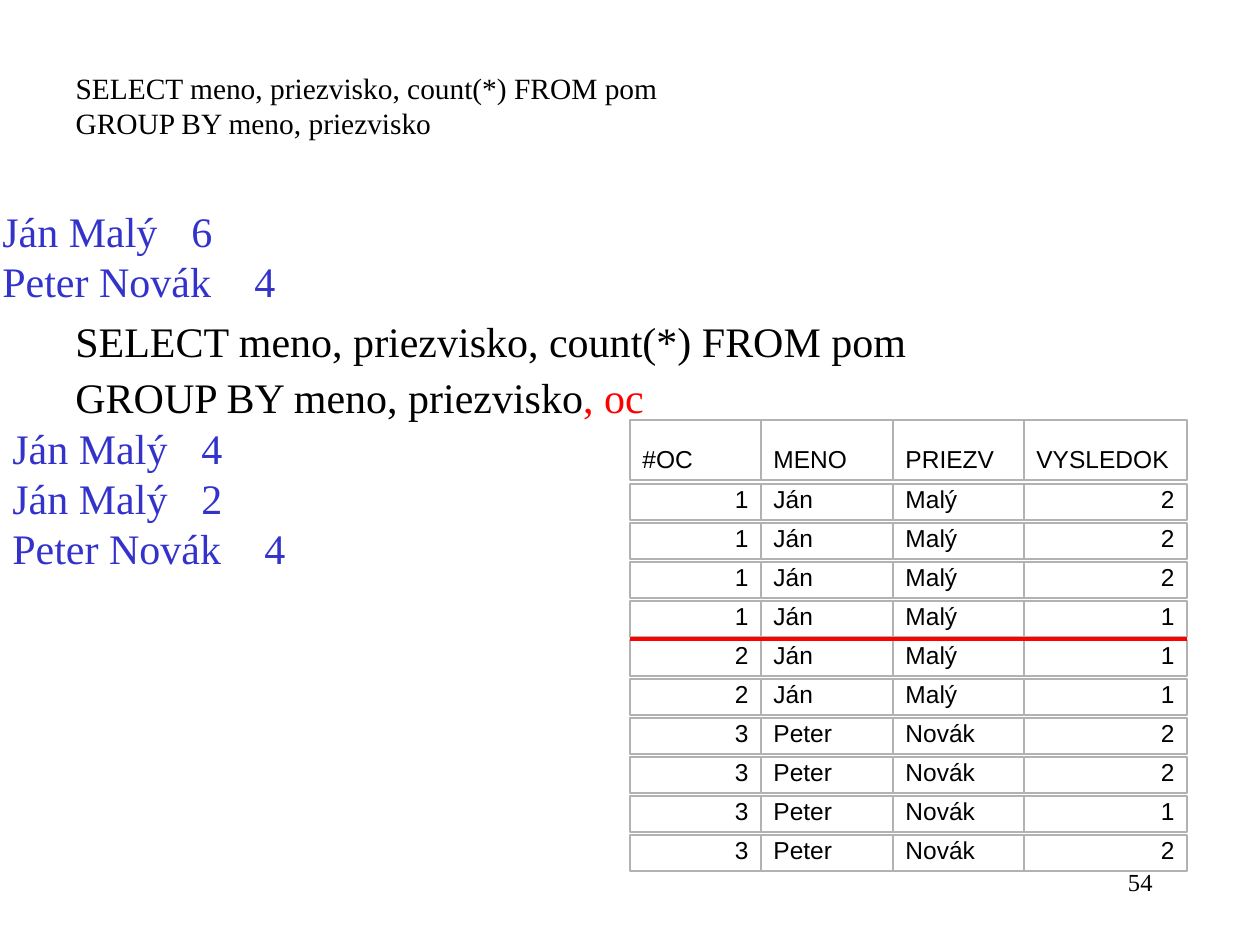
"""Build a slide comparing two GROUP BY queries with their source table."""
from lxml import etree
from pptx import Presentation
from pptx.dml.color import RGBColor
from pptx.enum.shapes import MSO_CONNECTOR, MSO_SHAPE
from pptx.enum.text import MSO_ANCHOR, MSO_AUTO_SIZE, PP_ALIGN
from pptx.oxml.ns import qn
from pptx.util import Emu, Pt

LEFT, RIGHT = PP_ALIGN.LEFT, PP_ALIGN.RIGHT
TOP, BOTTOM = MSO_ANCHOR.TOP, MSO_ANCHOR.BOTTOM
RECTANGLE, STRAIGHT = MSO_SHAPE.RECTANGLE, MSO_CONNECTOR.STRAIGHT
NO_AUTOFIT = MSO_AUTO_SIZE.NONE

COLORS = {"text": "000000", "result": "3333CC", "accent": "FF0000", "border": "B2B2B2"}
SERIF, SANS = "Times New Roman", "Arial"
PX_PER_INCH = 126

SELECT = "SELECT meno, priezvisko, count(*) FROM pom"
GROUP_BY = "GROUP BY meno, priezvisko"
FIRST_QUERY = [[(SELECT, "text")], [(GROUP_BY, "text")]]
SECOND_QUERY = [[(SELECT, "text")], [(GROUP_BY, "text"), (", oc", "accent")]]
FIRST_RESULT = ["Ján Malý\t6", "Peter Novák\t4"]
SECOND_RESULT = ["Ján Malý\t4", "Ján Malý\t2", "Peter Novák\t4"]
SLIDE_NUMBER = "54"

HEADER = ("#OC", "MENO", "PRIEZV", "VYSLEDOK")
JAN, PETER = ("Ján", "Malý"), ("Peter", "Novák")
RECORDS = [
    (1, JAN, 2), (1, JAN, 2), (1, JAN, 2), (1, JAN, 1), (2, JAN, 1),
    (2, JAN, 1), (3, PETER, 2), (3, PETER, 2), (3, PETER, 1), (3, PETER, 2),
]
ROWS = [(str(number), *name, str(score)) for number, name, score in RECORDS]
COLUMN_EDGES = (630, 761, 893, 1024, 1187)
COLUMN_ALIGNMENTS = (RIGHT, LEFT, LEFT, RIGHT)
HEADER_TOP, HEADER_HEIGHT = 420, 60
ROWS_TOP, ROW_HEIGHT, ROW_PITCH = 484, 36, 39
DIVIDER_Y = 639


def px(value):
    return Emu(round(value * 914400 / PX_PER_INCH))


def color(name):
    return RGBColor.from_string(COLORS[name])


def place(shape, left, top, width, height):
    shape.left, shape.top = px(left), px(top)
    shape.width, shape.height = px(width), px(height)


def write(shape, lines, size, font=SERIF, alignment=LEFT, anchor=TOP,
          hanging=0, spacing=None, before=0):
    frame = shape.text_frame
    frame.word_wrap = True
    frame.auto_size = NO_AUTOFIT
    frame.vertical_anchor = anchor
    for index, pieces in enumerate(lines):
        paragraph = frame.add_paragraph() if index else frame.paragraphs[0]
        properties = paragraph._p.get_or_add_pPr()
        properties.set("marL", str(px(hanging)))
        properties.set("indent", str(-px(hanging)))
        etree.SubElement(properties, qn("a:buNone"))
        if hanging:
            tabs = etree.SubElement(properties, qn("a:tabLst"))
            for inch in range(8):
                etree.SubElement(tabs, qn("a:tab"), pos=str(px(inch * PX_PER_INCH)), algn="l")
        paragraph.alignment = alignment
        paragraph.space_before = Pt(before if index else 0)
        if spacing:
            paragraph.line_spacing = spacing
        for text, color_name in pieces:
            run = paragraph.add_run()
            run.text = text
            run.font.name, run.font.size = font, Pt(size)
            run.font.color.rgb = color(color_name)


def add_text(slide, box, lines, size, **options):
    shape = slide.shapes.add_textbox(*map(px, box))
    write(shape, lines, size, **options)


def add_result(slide, box, lines):
    add_text(slide, box, [[(line, "result")] for line in lines], 24, hanging=63)


def add_row(group, top, height, values, alignments):
    for left, right, value, alignment in zip(COLUMN_EDGES, COLUMN_EDGES[1:], values, alignments):
        cell = group.shapes.add_shape(RECTANGLE, px(left), px(top), px(right - left), px(height))
        cell.shadow.inherit = False
        cell.fill.background()
        cell.line.color.rgb = color("border")
        cell.line.width = Pt(0.75)
        write(cell, [[(value, "text")]], 14, font=SANS, alignment=alignment, anchor=BOTTOM)


def add_records(slide):
    group = slide.shapes.add_group_shape()
    add_row(group, HEADER_TOP, HEADER_HEIGHT, HEADER, [LEFT] * len(HEADER))
    for index, values in enumerate(ROWS):
        add_row(group, ROWS_TOP + index * ROW_PITCH, ROW_HEIGHT, values, COLUMN_ALIGNMENTS)


def add_divider(slide):
    ends = (COLUMN_EDGES[0], DIVIDER_Y, COLUMN_EDGES[-1], DIVIDER_Y)
    divider = slide.shapes.add_connector(STRAIGHT, *map(px, ends))
    divider.line.color.rgb = color("accent")
    divider.line.width = Pt(2.25)
    etree.SubElement(divider._element.spPr, qn("a:effectLst"))


def main():
    presentation = Presentation()
    presentation.slide_width, presentation.slide_height = px(1260), px(945)
    slide = presentation.slides.add_slide(presentation.slide_layouts[1])
    title, body = slide.placeholders
    title._element.getparent().remove(title._element)

    place(body, 63, 73, 1071, 73)
    write(body, FIRST_QUERY, 16.8, hanging=48, spacing=0.7, before=6)
    add_result(slide, (-10, 199, 486, 113), FIRST_RESULT)
    add_records(slide)
    add_text(slide, (63, 315, 1071, 73), SECOND_QUERY, 24, hanging=48, spacing=0.9, before=6)
    add_result(slide, (0, 416, 486, 164), SECOND_RESULT)
    add_divider(slide)
    add_text(slide, (903, 861, 262, 63), [[(SLIDE_NUMBER, "text")]], 14, alignment=RIGHT)
    presentation.save("out.pptx")


if __name__ == "__main__":
    main()
